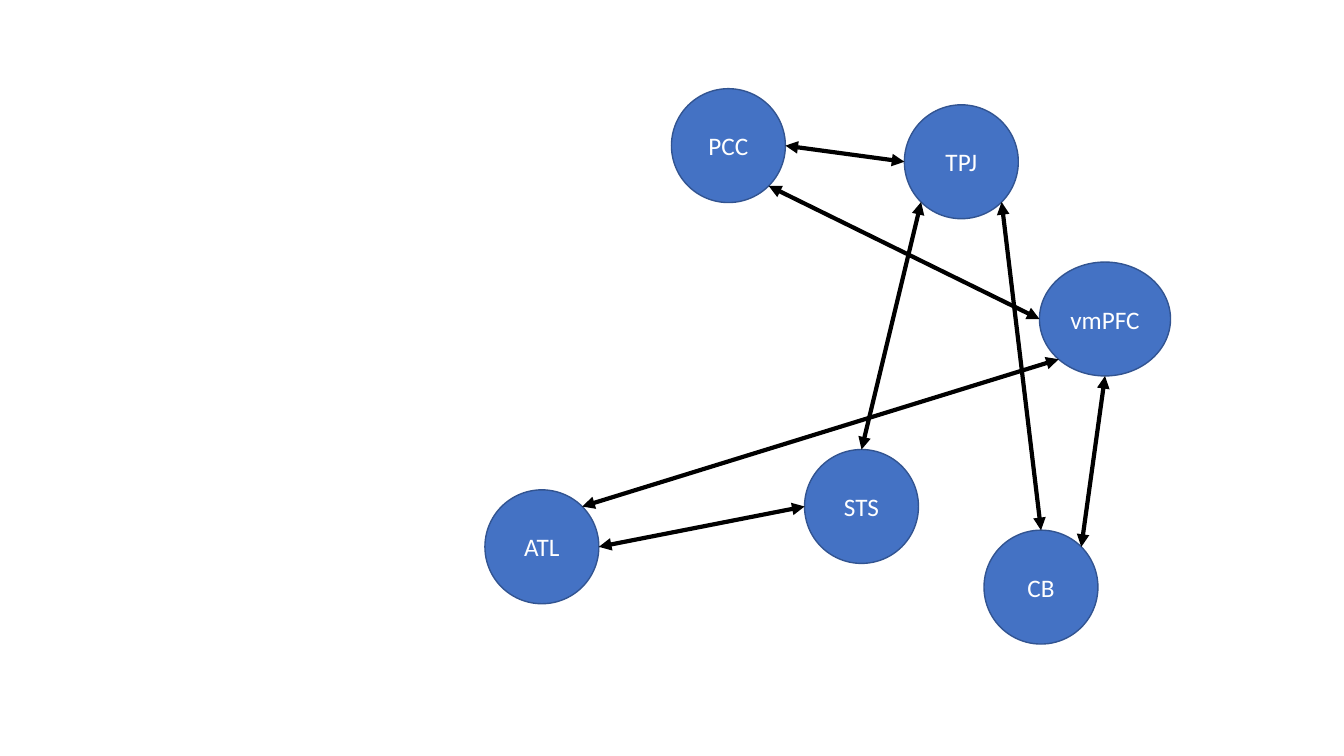
"""Build a slide of six brain regions joined by two-way arrows."""
from math import sqrt

from lxml.etree import SubElement
from pptx import Presentation
from pptx.dml.color import RGBColor
from pptx.enum.shapes import MSO_CONNECTOR as Link, MSO_SHAPE as Form
from pptx.enum.text import MSO_ANCHOR as Anchor, PP_ALIGN as Align
from pptx.oxml.ns import qn
from pptx.util import Inches, Pt

BLUE = RGBColor(0x44, 0x72, 0xC4)
NAVY = RGBColor(0x32, 0x54, 0x91)
WHITE = RGBColor(0xFF, 0xFF, 0xFF)
BLACK = RGBColor(0x00, 0x00, 0x00)

SIZE = 1.13
DIAG = 1 / sqrt(2)
SITES = {
    "top": (0, -1), "left": (-1, 0), "bottom": (0, 1), "right": (1, 0),
    "top right": (DIAG, -DIAG),
    "bottom left": (-DIAG, DIAG), "bottom right": (DIAG, DIAG),
}
REGIONS = {
    "CB": (9.76, 5.26, SIZE),
    "STS": (7.98, 4.46, SIZE),
    "ATL": (4.81, 4.86, SIZE),
    "PCC": (6.66, 0.88, SIZE),
    "vmPFC": (10.31, 2.6, 1.3),
    "TPJ": (8.97, 1.04, SIZE),
}
LINKS = [
    ("TPJ", "left", "PCC", "right"),
    ("vmPFC", "bottom left", "ATL", "top right"),
    ("PCC", "bottom right", "vmPFC", "left"),
    ("STS", "top", "TPJ", "bottom left"),
    ("STS", "left", "ATL", "right"),
    ("CB", "top right", "vmPFC", "bottom"),
    ("CB", "top", "TPJ", "bottom right"),
]


def find_end(name, site):
    """Return the point on the rim of a region."""
    left, top, width = REGIONS[name]
    dx, dy = SITES[site]
    return Inches(left + width / 2 * (1 + dx)), Inches(top + SIZE / 2 * (1 + dy))


deck = Presentation()
deck.slide_width, deck.slide_height = Inches(13.33), Inches(7.5)
slide = deck.slides.add_slide(deck.slide_layouts[6])

for name, (left, top, width) in REGIONS.items():
    node = slide.shapes.add_shape(
        Form.OVAL, Inches(left), Inches(top), Inches(width), Inches(SIZE))
    node.shadow.inherit = False
    node.fill.solid()
    node.fill.fore_color.rgb = BLUE
    node.line.color.rgb = NAVY
    node.line.width = Pt(1)
    frame = node.text_frame
    frame.word_wrap = True
    frame.vertical_anchor = Anchor.MIDDLE
    para = frame.paragraphs[0]
    para.alignment = Align.CENTER
    run = para.add_run()
    run.text = name
    run.font.name = "Calibri"
    run.font.size = Pt(18)
    run.font.color.rgb = WHITE

for start, exit_site, end, entry in LINKS:
    arrow = slide.shapes.add_connector(
        Link.STRAIGHT, *find_end(start, exit_site), *find_end(end, entry))
    arrow.line.color.rgb = BLACK
    arrow.line.width = Pt(3)
    props = arrow._element.spPr
    for tag in ("a:headEnd", "a:tailEnd"):
        SubElement(props.find(qn("a:ln")), qn(tag), type="triangle")
    SubElement(props, qn("a:effectLst"))

deck.save("out.pptx")
